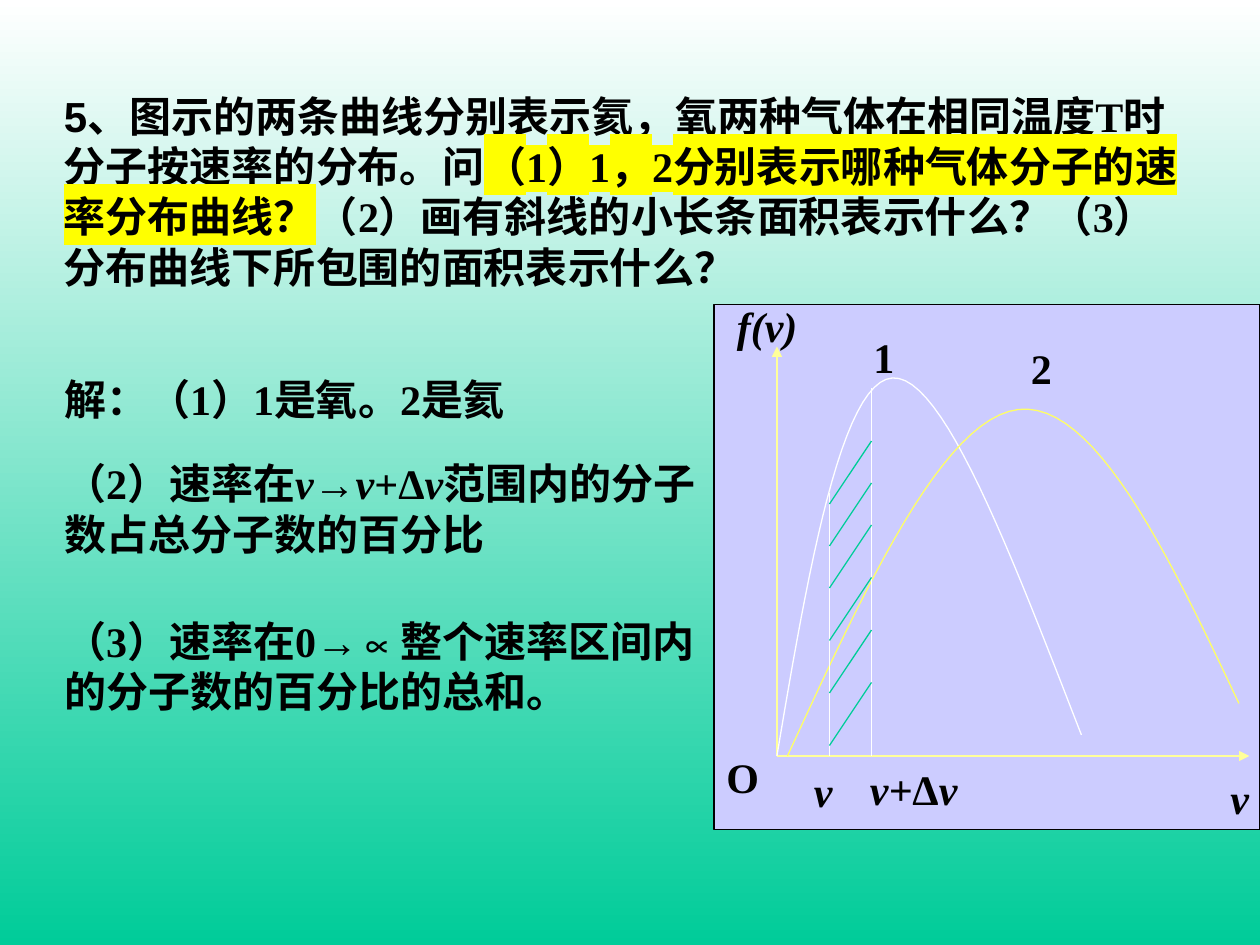
"""Build a slide on the speed distributions of helium and oxygen molecules."""
from dataclasses import dataclass

from lxml import etree
from pptx import Presentation
from pptx.dml.color import RGBColor
from pptx.enum.lang import MSO_LANGUAGE_ID
from pptx.enum.shapes import MSO_CONNECTOR, MSO_SHAPE
from pptx.enum.text import MSO_AUTO_SIZE
from pptx.oxml.ns import qn
from pptx.util import Pt

STRAIGHT = MSO_CONNECTOR.STRAIGHT
RECTANGLE = MSO_SHAPE.RECTANGLE
GROW = MSO_AUTO_SIZE.SHAPE_TO_FIT_TEXT
CHINESE = MSO_LANGUAGE_ID.SIMPLIFIED_CHINESE


@dataclass(frozen=True)
class Theme:
    """Colours, fonts and sizes of the slide."""
    top: str = "FFFFFF"
    bottom: str = "00CC99"
    panel: str = "CCCCFF"
    ink: str = "000000"
    marker: str = "FFFF00"
    axis: str = "FFFF99"
    oxygen: str = "FFFFFF"
    helium: str = "FFFF66"
    hatch: str = "00CC99"
    font: str = "Times New Roman"
    number_font: str = "Arial"
    size: float = 24
    line: float = 0.75


T = Theme()


def rgb(value):
    """Return a colour object for a hex string."""
    return RGBColor.from_string(value)


def set_background(s):
    """Give the slide a gradient running from top to bottom."""
    fill = s.background.fill
    fill.gradient()
    fill.gradient_angle = 270
    for stop, color in zip(fill.gradient_stops, (T.top, T.bottom)):
        stop.color.rgb = rgb(color)


def set_line(sp, color):
    """Set the outline colour and the common line width."""
    sp.line.color.rgb = rgb(color)
    sp.line.width = Pt(T.line)


def add_run(p, text, italic=False, font=T.font, highlight=None):
    """Add one bold run of text to a paragraph."""
    r = p.add_run()
    r.text = text
    r.font.size = Pt(T.size)
    r.font.bold = True
    r.font.italic = italic
    r.font.name = font
    r.font.language_id = CHINESE
    r.font.color.rgb = rgb(T.ink)
    if highlight:
        mark = etree.Element(qn("a:highlight"))
        etree.SubElement(mark, qn("a:srgbClr"), val=highlight)
        r.font._element.find(qn("a:solidFill")).addnext(mark)


def add_text(shapes, x, y, w, h, *runs):
    """Add a text box made of (text, format) runs."""
    tf = shapes.add_textbox(Pt(x), Pt(y), Pt(w), Pt(h)).text_frame
    tf.word_wrap = True
    tf.auto_size = GROW
    for text, style in runs:
        add_run(tf.paragraphs[0], text, **style)


def add_line(shapes, x1, y1, x2, y2, color, arrow=False):
    """Add a straight line, with an arrowhead at its end on request."""
    sp = shapes.add_connector(STRAIGHT, Pt(x1), Pt(y1), Pt(x2), Pt(y2))
    set_line(sp, color)
    if arrow:
        etree.SubElement(sp.line._get_or_add_ln(), qn("a:tailEnd"), type="triangle")
    etree.SubElement(sp._element.spPr, qn("a:effectLst"))


def bezier(a, b, c, d, steps=24):
    """Return the points of a cubic curve after its start."""
    points = []
    for n in range(1, steps + 1):
        t = n / steps
        u = 1 - t
        points.append(tuple(
            Pt(u**3 * i + 3 * u * u * t * j + 3 * u * t * t * k + t**3 * m)
            for i, j, k, m in zip(a, b, c, d)))
    return points


def add_curve(shapes, color, *nodes):
    """Add an open curve through chained cubic segments."""
    x, y = nodes[0]
    builder = shapes.build_freeform(Pt(x), Pt(y))
    for n in range(0, len(nodes) - 1, 3):
        builder.add_line_segments(bezier(*nodes[n:n + 4]), close=False)
    sp = builder.convert_to_shape()
    sp.fill.background()
    sp.shadow.inherit = False
    set_line(sp, color)


def add_panel(shapes):
    """Add the rectangle behind the graph."""
    sp = shapes.add_shape(RECTANGLE, Pt(408), Pt(174), Pt(312), Pt(300))
    sp.shadow.inherit = False
    sp.fill.solid()
    sp.fill.fore_color.rgb = rgb(T.panel)
    set_line(sp, T.ink)


def add_graph(shapes):
    """Draw axes, both curves, the hatched strip and the labels."""
    x0, base, left, right = 444, 432, 474, 498
    add_line(shapes, x0, base, 714, base, T.axis, arrow=True)
    add_line(shapes, x0, base, x0, 198, T.axis, arrow=True)
    add_curve(shapes, T.oxygen, (x0, base), (462, 324.5), (481, 218), (510, 216),
              (539, 214), (578, 317), (618, 420))
    add_curve(shapes, T.helium, (450, base), (494.5, 335.5), (539, 239), (582, 234),
              (625, 229), (667, 315), (708, 402))
    add_line(shapes, left, 282, left, base, T.oxygen)
    add_line(shapes, right, 222, right, base, T.oxygen)
    for y in (252, 276, 300, 330, 360, 390):
        add_line(shapes, right, y, left, y + 36, T.hatch)
    plain, slanted = {}, {"italic": True}
    labels = [
        (582, 192, 24, [("2", plain)]),
        (492, 186, 24, [("1", plain)]),
        (414, 168, 60, [("f(v)", slanted)]),
        (696, 438, 18, [("v", slanted)]),
        (458, 434, 34.5, [("v", slanted)]),
        (490, 432.5, 84, [("v+", slanted), ("Δ", plain), ("v", slanted)]),
        (408, 426, 60, [("O", plain)]),
    ]
    for x, y, w, runs in labels:
        add_text(shapes, x, y, w, 36, *runs)


def add_question(shapes):
    """Add the question and the three answers."""
    x, plain, slanted = 29.5, {}, {"italic": True}
    add_text(shapes, x, 48, 654, 124,
             ("5、", {"font": T.number_font}),
             ("图示的两条曲线分别表示氦，氧两种气体在相同温度T时分子按速率的分布。问", plain),
             ("（1）1，2分别表示哪种气体分子的速率分布曲线？", {"highlight": T.marker}),
             ("（2）画有斜线的小长条面积表示什么？（3）分布曲线下所包围的面积表示什么？", plain))
    add_text(shapes, x, 210, 306, 36, ("解：（1）1是氧。2是氦", plain))
    add_text(shapes, x, 258, 384, 65.5,
             ("（2）速率在", plain), ("v", slanted), ("→", plain), ("v", slanted),
             ("+Δ", plain), ("v", slanted), ("范围内的分子数占总分子数的百分比", plain))
    add_text(shapes, x, 348, 384, 65.5,
             ("（3）速率在0→∝整个速率区间内的分子数的百分比的总和。", plain))


def main():
    """Build and save the slide."""
    prs = Presentation()
    prs.slide_width, prs.slide_height = Pt(720), Pt(540)
    s = prs.slides.add_slide(prs.slide_layouts[6])
    set_background(s)
    add_panel(s.shapes)
    add_question(s.shapes)
    add_graph(s.shapes.add_group_shape().shapes)
    prs.save("out.pptx")


if __name__ == "__main__":
    main()
